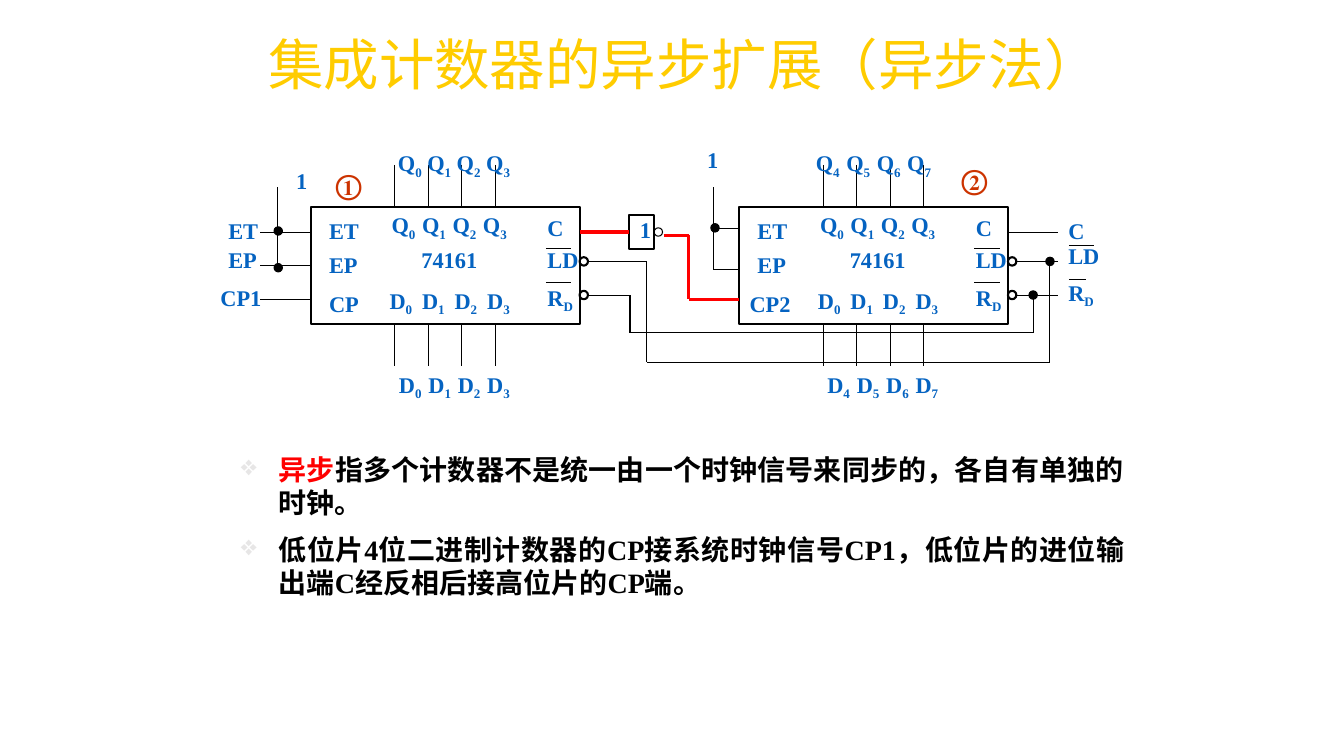
from lxml import etree
from pptx import Presentation
from pptx import util as u
from pptx.dml import color
from pptx.enum import shapes, text
from pptx.oxml import ns

PX = 9525
COLOURS = {
    "title": "FFCC00",
    "label": "0563C1",
    "black": "000000",
    "red": "FF0000",
    "number": "CC3300",
    "bullet": "E7E6E6",
}
ALIGN = text.PP_ALIGN
SERIF = {"name": "Times New Roman", "size": u.Pt(16), "bold": True}


def rgb(name):
    return color.RGBColor.from_string(COLOURS[name])


def child(parent, tag, **attributes):
    return etree.SubElement(parent, ns.qn(tag), attributes)


def pins(letter, first=0):
    return "\t".join(f"{letter}_{first + i}_" for i in range(4))


class Board:
    def __init__(self, slide):
        self.slide = slide

    def add_runs(self, paragraph, content, colour="label", **changes):
        for i, part in enumerate(content.split("_")):
            if not part:
                continue
            run = paragraph.add_run()
            run.text = part
            for name, value in {**SERIF, **changes}.items():
                setattr(run.font, name, value)
            run.font.color.rgb = rgb(colour)
            if i % 2:
                run.font._element.set("baseline", "-25000")

    def frame(self, x, y, width, height=33, **settings):
        box = self.slide.shapes.add_textbox(x * PX, y * PX, width * PX, height * PX)
        for name, value in {"word_wrap": True, **settings}.items():
            setattr(box.text_frame, name, value)
        return box.text_frame

    def label(self, content, x, y, width=56, height=33, align=ALIGN.JUSTIFY,
              colour="label", settings=None, **changes):
        frame = self.frame(x, y, width, height, **(settings or {}))
        paragraph = frame.paragraphs[0]
        for name, value in {"alignment": align, "line_spacing": 0.9}.items():
            setattr(paragraph, name, value)
        self.add_runs(paragraph, content, colour, **changes)
        return paragraph

    def pin_row(self, content, x, y, width, start, pitch):
        paragraph = self.label(content, x, y, width, align=ALIGN.LEFT,
                               settings={"margin_left": start * PX, "margin_right": 0})
        stops = child(paragraph._p.get_or_add_pPr(), "a:tabLst")
        for i in range(1, 4):
            child(stops, "a:tab", pos=str(i * pitch * PX), algn="l")

    def bullets(self, items, x, y, width, height):
        frame = self.frame(x, y, width, height)
        for i, runs in enumerate(items):
            paragraph = frame.add_paragraph() if i else frame.paragraphs[0]
            properties = paragraph._p.get_or_add_pPr()
            properties.set("marL", str(36 * PX))
            properties.set("indent", str(-36 * PX))
            child(child(properties, "a:buClr"), "a:srgbClr", val=COLOURS["bullet"])
            child(properties, "a:buChar", char="❖")
            paragraph.alignment = ALIGN.JUSTIFY
            if i:
                paragraph.space_before = u.Pt(9)
            for content, colour in runs:
                self.add_runs(paragraph, content, colour, size=u.Pt(20))

    def shape(self, kind, x, y, width, height, weight=1.5, fill=None):
        shape = self.slide.shapes.add_shape(kind, x * PX, y * PX, width * PX, height * PX)
        shape.shadow.inherit = False
        if fill:
            shape.fill.solid()
            shape.fill.fore_color.rgb = rgb(fill)
        else:
            shape.fill.background()
        shape.line.color.rgb = rgb("black")
        shape.line.width = u.Pt(weight)
        return shape

    def box(self, x, y, width, height):
        return self.shape(shapes.MSO_SHAPE.RECTANGLE, x, y, width, height)

    def circle(self, x, y, weight=1.5, fill=None):
        return self.shape(shapes.MSO_SHAPE.OVAL, x, y, 8, 8, weight, fill)

    def dot(self, x, y):
        return self.circle(x, y, 0.75, "black")

    def wire(self, *points, colour="black", weight=0.75):
        for start, end in zip(points, points[1:]):
            line = self.slide.shapes.add_connector(
                shapes.MSO_CONNECTOR.STRAIGHT, *(v * PX for v in start + end))
            line.line.color.rgb = rgb(colour)
            line.line.width = u.Pt(weight)
            child(line._element.spPr, "a:effectLst")
        return line

    def chip(self, x, clock, clock_settings=None):
        body = self.box(x, 197, 256, 112)
        self.pin_row(pins("Q"), x + 56, 197, 152, 21, 29)
        self.pin_row(pins("D"), x + 56, 269, 152, 19, 31)
        self.label("74161", x + 56, 233, 152, align=ALIGN.CENTER)
        self.label("ET", x + 8, 205, 48)
        self.label("EP", x + 8, 237, 48)
        self.label(clock, x + 8, 274, 48, settings=clock_settings)
        self.label("C", x + 216, 202, 48)
        for content, y in (("LD", 233), ("R_D", 266)):
            self.label(content, x + 216, y)
        for y in (237, 269):
            self.wire((x + 224, y), (x + 248, y))
        for i in range(4):
            pin = x + 80 + 32 * i
            for top in (157, 309):
                self.wire((pin, top), (pin, top + 40))
        for y in (245, 277):
            self.circle(x + 256, y)
            self.wire((x + 264, y + 4), (x + 304, y + 4))
        return body


def main():
    presentation = Presentation()
    presentation.slide_width, presentation.slide_height = 1280 * PX, 720 * PX
    board = Board(presentation.slides.add_slide(presentation.slide_layouts[6]))
    tight = {"margin_left": 2 * PX, "margin_right": 2 * PX}
    red = {"colour": "red", "weight": 2.25}

    board.label("集成计数器的异步扩展（异步法）", 246, 32, 960, 64, ALIGN.LEFT, "title",
                {"vertical_anchor": text.MSO_ANCHOR.MIDDLE},
                name="Arial", size=u.Pt(39.6), bold=False)

    low_chip = board.chip(296, "CP")
    board.chip(704, "CP2", tight)
    board.pin_row(pins("Q"), 352, 138, 160, 27, 28)
    board.pin_row(pins("Q", 4), 752, 138, 160, 25, 29)
    board.pin_row(pins("D"), 360, 349, 144, 20, 28)
    board.pin_row(pins("D", 4), 768, 349, 144, 20, 28)

    inputs = [board.wire((248, y), (296, y)) for y in (221, 253, 285)]
    inputs[1].end_connect(low_chip, 1)
    for content, y, settings in (("ET", 205, None), ("EP", 233, None), ("CP1", 269, tight)):
        board.label(content, 208, y, settings=settings)
    board.wire((264, 253), (264, 178))
    board.dot(261, 216)
    board.dot(261, 251)
    board.label("1", 270, 157, 35, align=ALIGN.CENTER)

    gate = board.box(599, 205, 24, 32)
    board.circle(623, 217, 0.75)
    board.label("1", 600, 204, 32)
    board.wire((552, 221), (599, 221), **red).end_connect(gate, 1)
    board.wire((632, 224), (656, 224), (656, 285), (704, 285), **red)

    board.wire((704, 218), (680, 218))
    board.wire((704, 257), (680, 257), (680, 178))
    board.dot(677, 213)
    board.label("1", 664, 137)

    board.wire((600, 281), (600, 317), (984, 317), (984, 281))
    board.wire((600, 249), (616, 249), (616, 345), (1000, 345), (1000, 249))
    board.dot(980, 277)
    board.dot(996, 245)

    board.wire((960, 221), (1008, 221))
    for content, y in (("C", 205), ("LD", 229), ("R_D", 261)):
        board.label(content, 1008, y)
    board.wire((1018, 234), (1042, 234))
    board.wire((1018, 266), (1034, 266))

    for content, x, y in (("①", 309, 158), ("②", 905, 154)):
        board.label(content, x, y, 46, 38, ALIGN.CENTER, "number",
                    {"word_wrap": False}, size=u.Pt(20))

    board.bullets([
        [("异步", "red"),
         ("指多个计数器不是统一由一个时钟信号来同步的，各自有单独的时钟。", "black")],
        [("低位片4位二进制计数器的CP接系统时钟信号CP1，低位片的进位输出端C经反相后接高位片的CP端。",
          "black")],
    ], 220, 426, 860, 156)

    presentation.save("out.pptx")


if __name__ == "__main__":
    main()
